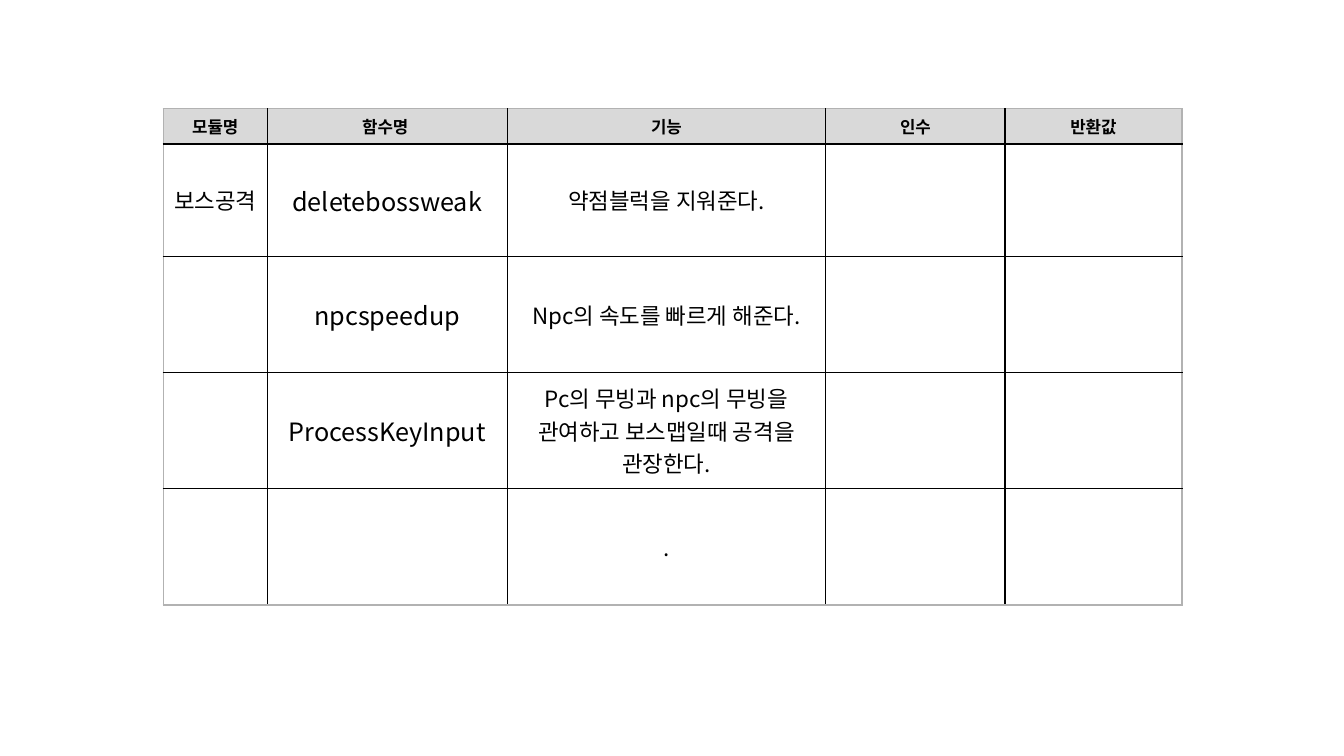
from lxml import etree
from pptx import Presentation
from pptx.dml.color import RGBColor
from pptx.enum.text import MSO_ANCHOR, PP_ALIGN
from pptx.oxml.ns import qn
from pptx.util import Inches, Pt

CENTER = PP_ALIGN.CENTER
MIDDLE = MSO_ANCHOR.MIDDLE
BLACK = RGBColor(0, 0, 0)
HEADER_GRAY = RGBColor(0xD9, 0xD9, 0xD9)
EDGE_GRAY = RGBColor(0xB2, 0xB2, 0xB2)
FONT = "Noto Sans CJK KR"

TABLE_BOX = (1.62, 1.08, 10.1, 4.92)
COLS = [1.03, 2.38, 3.16, 1.78, 1.75]
ROWS = [0.35, 1.11, 1.15, 1.15, 1.15]
CELLS = [
    ["모듈명", "함수명 ", "기능", "인수", "반환값"],
    ["보스공격", "deletebossweak", "약점블럭을 지워준다.", "", ""],
    ["", "npcspeedup", "Npc의 속도를 빠르게 해준다.", "", ""],
    ["", "ProcessKeyInput",
     "Pc의 무빙과 npc의 무빙을 관여하고 보스맵일때 공격을 관장한다.", "", ""],
    ["", "", ".", "", ""],
]
BODY_SIZES = [16, 18, 16, 16, 16]


def set_borders(cell, borders):
    tcPr = cell._tc.get_or_add_tcPr()
    for i, (side, (color, width)) in enumerate(borders.items()):
        ln = etree.Element(qn(f"a:ln{side}"), w=str(Pt(width)))
        fill = etree.SubElement(ln, qn("a:solidFill"))
        etree.SubElement(fill, qn("a:srgbClr"), val=str(color))
        tcPr.insert(i, ln)


def row_line(i):
    if i in (0, len(ROWS)):
        return EDGE_GRAY, 1.5 if i else 1
    return BLACK, 1.5 if i == 1 else 1


def col_line(j):
    if j in (0, len(COLS)):
        return EDGE_GRAY, 1.5 if j else 1
    return BLACK, 1.5 if j == len(COLS) - 1 else 1


def fill_cell(cell, text, size, bold):
    cell.vertical_anchor = MIDDLE
    cell.margin_left = cell.margin_right = Inches(0.08)
    cell.text_frame.text = text
    p = cell.text_frame.paragraphs[0]
    p.alignment = CENTER
    for r in p.runs:
        r.font.size = Pt(size)
        r.font.bold = bold
        r.font.name = FONT
        r.font.color.rgb = BLACK
        etree.SubElement(r.font._element, qn("a:ea"), typeface=FONT)


def add_function_table(s, box):
    x, y, w, h = (Inches(v) for v in box)
    table = s.shapes.add_table(len(ROWS), len(COLS), x, y, w, h).table
    table.first_row = table.horz_banding = False
    for col, share in zip(table.columns, COLS):
        col.width = int(w * share / sum(COLS))
    for row, share in zip(table.rows, ROWS):
        row.height = int(h * share / sum(ROWS))
    for i, texts in enumerate(CELLS):
        header = i == 0
        for j, text in enumerate(texts):
            cell = table.cell(i, j)
            fill_cell(cell, text, 12 if header else BODY_SIZES[j], header)
            if header:
                cell.fill.solid()
                cell.fill.fore_color.rgb = HEADER_GRAY
            else:
                cell.fill.background()
            set_borders(cell, {"L": col_line(j), "R": col_line(j + 1),
                               "T": row_line(i), "B": row_line(i + 1)})


def main():
    prs = Presentation()
    prs.slide_width, prs.slide_height = Inches(13.33), Inches(7.5)
    s = prs.slides.add_slide(prs.slide_layouts[6])
    add_function_table(s, TABLE_BOX)
    prs.save("out.pptx")


if __name__ == "__main__":
    main()
